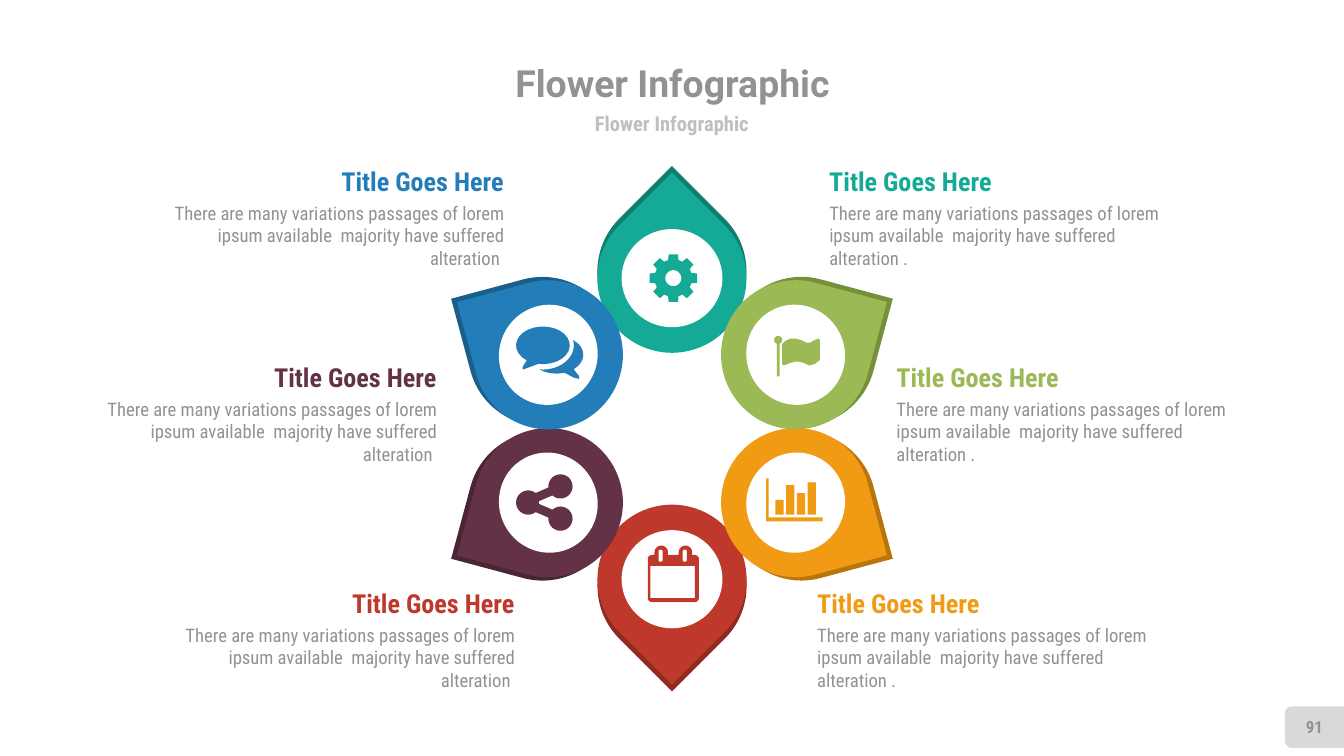
"""Build the flower infographic slide with six petals and captions."""
from math import cos, radians, sin

from pptx import Presentation
from pptx.dml.color import RGBColor
from pptx.enum.shapes import MSO_SHAPE
from pptx.enum.text import MSO_ANCHOR, PP_ALIGN
from pptx.util import Inches, Pt

DROP, OVAL, TAB = MSO_SHAPE.TEAR, MSO_SHAPE.OVAL, MSO_SHAPE.ROUND_2_SAME_RECTANGLE
LEFT, MID, RIGHT = PP_ALIGN.LEFT, PP_ALIGN.CENTER, PP_ALIGN.RIGHT
TOP, HALF = MSO_ANCHOR.TOP, MSO_ANCHOR.MIDDLE

WHITE = RGBColor(0xFF, 0xFF, 0xFF)
GRAY = RGBColor(0x92, 0x92, 0x92)
SILVER = RGBColor(0xBF, 0xBF, 0xBF)
PALE = RGBColor(0xD9, 0xD9, 0xD9)
TEAL, PINE = RGBColor(0x15, 0xAA, 0x96), RGBColor(0x10, 0x7F, 0x71)
RED, BRICK = RGBColor(0xBE, 0x38, 0x2C), RGBColor(0x8E, 0x2A, 0x21)
PLUM, WINE = RGBColor(0x63, 0x32, 0x47), RGBColor(0x4A, 0x25, 0x35)
BLUE, NAVY = RGBColor(0x23, 0x7D, 0xB9), RGBColor(0x1A, 0x5E, 0x8B)
GOLD, BRONZE = RGBColor(0xF1, 0x9B, 0x14), RGBColor(0xB9, 0x75, 0x0B)
LIME, MOSS = RGBColor(0x9B, 0xB9, 0x55), RGBColor(0x76, 0x8F, 0x3B)

HEAD = "Title Goes Here"
BODY = ("There are many variations passages of lorem ipsum available  "
        "majority have suffered alteration ")
SANS, SLIM = "Roboto", "Roboto Condensed"
PETALS = [
    (5, 2.07, 0, TEAL, PINE), (5, 4.31, 180, RED, BRICK),
    (4.08, 3.74, 240, PLUM, WINE), (4.08, 2.64, 300, BLUE, NAVY),
    (5.92, 3.74, 120, GOLD, BRONZE), (5.92, 2.64, 60, LIME, MOSS),
]
NOTES = [
    (6.08, 4.37, LEFT, GOLD), (3.25, 2.69, RIGHT, PLUM),
    (6.17, 1.23, LEFT, TEAL), (3.75, 1.23, RIGHT, BLUE),
    (3.83, 4.37, RIGHT, RED), (6.67, 2.69, LEFT, LIME),
]


def paint(shape, color):
    """Give a shape a flat fill with no line or shadow."""
    shape.shadow.inherit = False
    shape.fill.solid()
    shape.fill.fore_color.rgb = color
    shape.line.fill.background()


def add_form(slide, kind, mid, size, turn, color):
    """Add a preset shape around its middle point."""
    (x, y), (wide, high) = mid, size
    shape = slide.shapes.add_shape(kind, Inches(x - wide / 2), Inches(y - high / 2),
                                   Inches(wide), Inches(high))
    shape.rotation = turn % 360
    paint(shape, color)


def add_text(slide, box, text, color, align, anchor=TOP, wrap=True, **form):
    """Add a text box with no insets and one styled paragraph."""
    frame = slide.shapes.add_textbox(*map(Inches, box)).text_frame
    for side in ("left", "top", "right", "bottom"):
        setattr(frame, "margin_" + side, 0)
    frame.word_wrap = wrap
    frame.vertical_anchor = anchor
    para = frame.paragraphs[0]
    para.text = text
    para.alignment = align
    para.font.color.rgb = color
    for name, value in ({"name": SLIM, "bold": True} | form).items():
        setattr(para.font, name, value)


def add_petal(slide, x, y, turn, color, shade):
    """Add a petal with its dark rim and white disc."""
    angle = radians(turn)
    rim = (x + 0.05 * sin(angle), y - 0.05 * cos(angle))
    add_form(slide, DROP, rim, (1.11, 1.11), turn - 45, shade)
    add_form(slide, DROP, (x, y), (1.11, 1.11), turn - 45, color)
    add_form(slide, OVAL, (x, y), (0.75, 0.73), turn, WHITE)


def add_note(slide, edge, top, align, color):
    """Add a caption that lines up with the given edge."""
    right = align == RIGHT
    body = BODY if right else BODY + "."
    parts = [(0.27, 2.49, 0.5, body, GRAY, 10, False),
             (0, 1.43, 0.24, HEAD, color, 14, True)]
    for drop, wide, high, text, ink, size, bold in parts:
        left = edge - wide if right else edge
        add_text(slide, (left, top + drop, wide, high), text, ink, align,
                 size=Pt(size), bold=bold)


def add_icon(slide, color, loops):
    """Add one freeform made of closed loops of points."""
    loops = [[(Inches(x), Inches(y)) for x, y in loop] for loop in loops]
    path = slide.shapes.build_freeform(*loops[0][0])
    for i, loop in enumerate(loops):
        if i:
            path.move_to(*loop[0])
        path.add_line_segments(loop[1:], close=True)
    paint(path.convert_to_shape(), color)


def arc(x, y, wide, high, start=0, end=360, steps=24):
    """Return points on an oval, clockwise from the right."""
    turns = [radians(start + (end - start) * i / steps) for i in range(steps + 1)]
    return [(x + wide * cos(t), y + high * sin(t)) for t in turns]


def rect(left, top, right, low):
    """Return the corners of a rectangle."""
    return [(left, top), (right, top), (right, low), (left, low)]


def pill(left, top, right, low, curve):
    """Return the outline of a rectangle with round corners."""
    spots = [(right - curve, low - curve), (left + curve, low - curve),
             (left + curve, top + curve), (right - curve, top + curve)]
    return [p for i, (x, y) in enumerate(spots)
            for p in arc(x, y, curve, curve, 90 * i, 90 * i + 90, 6)]


def gear():
    """Return a gear of eight teeth and its hole."""
    teeth = [arc(5.01, 2.07, size, size, turn + lean)[0]
             for turn in range(0, 360, 45)
             for size, lean in ((0.14, -16), (0.18, -11), (0.18, 11), (0.14, 16))]
    return [teeth, arc(5.01, 2.07, 0.06, 0.06)]


def chat():
    """Return two speech bubbles."""
    front = arc(4.04, 2.57, 0.2, 0.14, 127, 460)
    front += [(3.92, 2.74), (3.89, 2.75), (3.89, 2.73)]
    back = arc(4.04, 2.57, 0.23, 0.18, 95, -13)
    back += arc(4.14, 2.64, 0.2, 0.14, -35, 50)
    back += [(4.31, 2.8), (4.31, 2.82), (4.27, 2.81)]
    back += arc(4.14, 2.64, 0.2, 0.14, 73, 127)
    return [front, back]


def flag():
    """Return a pole and a waving cloth."""
    pole = arc(5.79, 2.53, 0.03, 0.03, 70, -250) + [(5.78, 2.8), (5.8, 2.8)]
    cloth = [(5.82, 2.56), (5.84, 2.54), (5.88, 2.52), (5.92, 2.52), (5.96, 2.53),
             (6, 2.55), (6.03, 2.55), (6.06, 2.53), (6.09, 2.52), (6.1, 2.53),
             (6.1, 2.68), (6.06, 2.71), (6.02, 2.72), (5.98, 2.7), (5.93, 2.69),
             (5.88, 2.7), (5.83, 2.72), (5.82, 2.71)]
    return [pole, cloth]


def share():
    """Return three linked dots as one outline."""
    dots = [(4.17, 3.86, -132, 185), (3.93, 3.74, 52, 308), (4.17, 3.62, -185, 132)]
    outline = [p for x, y, start, end in dots
               for p in arc(x, y, 0.09, 0.09, start, end)]
    return [outline + [(4.01, 3.73), (4.01, 3.75)]]


def dates():
    """Return a calendar page with two rings."""
    rings = (4.92, 5.1)
    frame = pill(4.82, 4.13, 5.2, 4.48, 0.03)
    tops = [p for x in rings
            for p in [(x - 0.05, 4.13)] + arc(x, 4.11, 0.05, 0.05, 180, 360)
            + [(x + 0.05, 4.13)]]
    cut = len(frame) * 3 // 4
    outline = frame[:cut] + tops + frame[cut:]
    slots = [pill(x - 0.02, 4.09, x + 0.01, 4.18, 0.01) for x in rings]
    return [outline, rect(4.84, 4.21, 5.17, 4.45)] + slots


def chart():
    """Return two axes and four bars."""
    axes = [(5.7, 3.56), (5.72, 3.56), (5.72, 3.85), (6.12, 3.85), (6.12, 3.88),
            (5.7, 3.88)]
    tops = (3.72, 3.61, 3.67, 3.59)
    bars = [rect(5.77 + 0.08 * i, top, 5.83 + 0.08 * i, 3.83)
            for i, top in enumerate(tops)]
    return [axes] + bars


def main():
    """Build the slide and save it."""
    deck = Presentation()
    deck.slide_width = Inches(10)
    deck.slide_height = deck.slide_width * 9 // 16
    slide = deck.slides.add_slide(deck.slide_layouts[6])
    add_form(slide, TAB, (9.78, 5.41), (0.31, 0.44), 270, PALE)
    add_text(slide, (1.92, 0.42, 6.17, 0.39), "Flower Infographic", GRAY, MID, HALF,
             size=Pt(20), name=SANS)
    add_text(slide, (2.75, 0.81, 4.5, 0.22), "Flower Infographic", SILVER, MID, HALF,
             size=Pt(11))
    add_text(slide, (9.57, 5.26, 0.42, 0.3), "91", GRAY, MID, HALF, size=Pt(9))
    for petal in PETALS:
        add_petal(slide, *petal)
    for note in NOTES:
        add_note(slide, *note)
    icons = [(TEAL, gear), (BLUE, chat), (LIME, flag), (PLUM, share), (RED, dates),
             (GOLD, chart)]
    for color, draw in icons:
        add_icon(slide, color, draw())
    deck.save("out.pptx")


if __name__ == "__main__":
    main()
